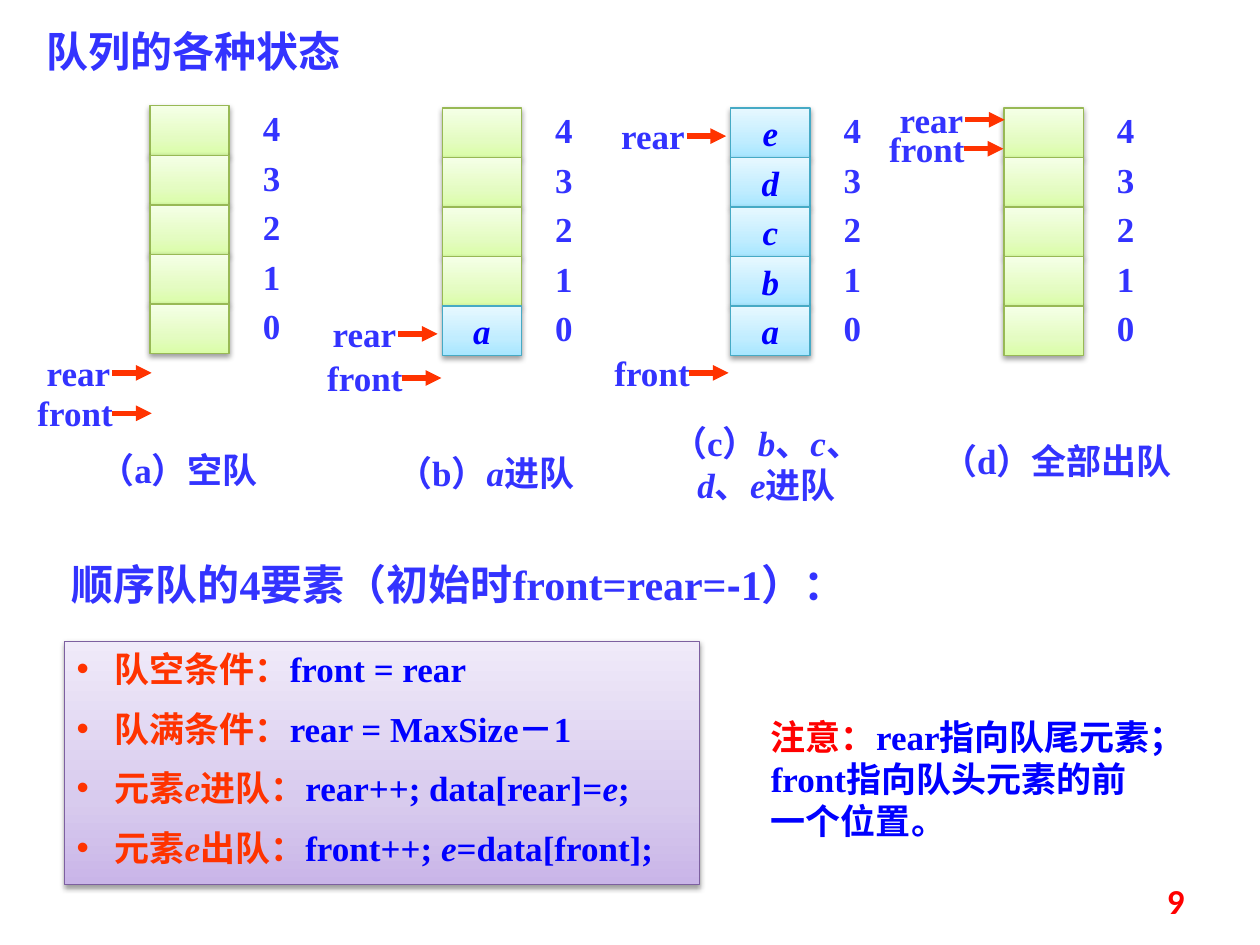
from pptx import Presentation
from pptx.dml.color import RGBColor as Color
from pptx.enum.shapes import MSO_CONNECTOR as Link, MSO_SHAPE as Form
from pptx.enum.text import MSO_ANCHOR as Anchor, PP_ALIGN as Align
from pptx.oxml import parse_xml
from pptx.oxml.ns import nsdecls, qn
from pptx.util import Pt
from lxml.etree import SubElement as Sub

BLUE = Color(0x33, 0x33, 0xFF)
DEEP = Color(0x00, 0x00, 0xFF)
RED = Color(0xFF, 0x00, 0x00)
ORANGE = Color(0xFF, 0x33, 0x00)
# Gradient stops from bottom to top, then the outline
GREEN = ("DAFDA7", "E4FCC2", "F5FFE7", Color(0x98, 0xB9, 0x55))
CYAN = ("A7E6FF", "C1EDFF", "E7F8FF", Color(0x46, 0xAA, 0xC5))
PURPLE = ("C9B5E8", "D8CBEE", "F0EAF9", Color(0x7D, 0x60, 0xA0))
SERIF, SANS, PLAIN = "Times New Roman", "Noto Sans CJK SC", "Calibri"

# Cell grid, in points
WIDE, HIGH, STEP = 45.3, 28.3, 28.3


class Board:
    """Holds the style and the current slide."""

    def __init__(self, deck):
        self.slide = deck.slides.add_slide(deck.slide_layouts[6])
        self.home = self.pen = self.slide.shapes

    def group(self):
        self.pen = self.home.add_group_shape().shapes

    def leave(self):
        self.pen = self.home

    def fill_in(self, para, runs, size=20, align=Align.LEFT):
        """Runs are (text, colour, font); *stars* mark italics."""
        para.alignment = align
        for text, color, face in runs:
            for i, bit in enumerate(text.split("*")):
                if not bit:
                    continue
                run = para.add_run()
                run.text = bit
                font = run.font
                font.name, font.size, font.bold = face, Pt(size), True
                font.italic = i % 2 == 1
                font.color.rgb = color

    def text(self, x, y, w, h, runs, size=20, align=Align.LEFT):
        box = self.pen.add_textbox(Pt(x), Pt(y), Pt(w), Pt(h))
        box.text_frame.word_wrap = True
        self.fill_in(box.text_frame.paragraphs[0], runs, size, align)
        return box

    def label(self, x, y, w, h, text):
        self.text(x, y, w, h, [(text, BLUE, SERIF)], align=Align.CENTER)

    def rect(self, x, y, w, h, look):
        box = self.pen.add_shape(Form.RECTANGLE, Pt(x), Pt(y), Pt(w), Pt(h))
        low, mid, top, edge = look
        box.fill.background()
        props = box._element.spPr
        stops = "".join(
            f'<a:gs pos="{pos}"><a:srgbClr val="{val}"/></a:gs>'
            for pos, val in ((0, low), (35000, mid), (100000, top)))
        props.replace(props.find(qn("a:noFill")), parse_xml(
            f'<a:gradFill {nsdecls("a")} rotWithShape="1"><a:gsLst>{stops}'
            '</a:gsLst><a:lin ang="16200000" scaled="0"/></a:gradFill>'))
        box.line.color.rgb = edge
        box.line.width = Pt(0.75)
        # Soft shadow straight below
        box.shadow.inherit = False
        props.find(qn("a:effectLst")).append(parse_xml(
            f'<a:outerShdw {nsdecls("a")} blurRad="40000" dist="20000" '
            'dir="5400000" rotWithShape="0"><a:srgbClr val="000000">'
            '<a:alpha val="38000"/></a:srgbClr></a:outerShdw>'))
        return box

    def cell(self, x, y, item):
        box = self.rect(x, y, WIDE, HIGH, CYAN if item else GREEN)
        if item:
            frame = box.text_frame
            frame.word_wrap = False
            self.fill_in(frame.paragraphs[0], [(f"*{item}*", DEEP, SERIF)],
                         align=Align.CENTER)

    def arrow(self, x, y, span=22.6):
        line = self.pen.add_connector(
            Link.STRAIGHT, Pt(x), Pt(y), Pt(x + span), Pt(y))
        line.line.color.rgb = ORANGE
        line.line.width = Pt(3)
        props = line._element.spPr
        Sub(props.find(qn("a:ln")), qn("a:tailEnd"), type="triangle")
        Sub(props, qn("a:effectLst"))

    def queue(self, x, y, items, marks):
        """Draw one array of cells, top index first, with its pointers."""
        self.group()
        last = len(items) - 1
        for i, item in enumerate(items):
            top = y + i * STEP
            self.cell(x, top, item.strip())
            self.label(x + 52.6, top - 3.1, 33.8, 31, str(last - i))
        for name, left, mid in marks:
            back, wide = (47.7, 56.9) if name == "rear" else (55.4, 68.4)
            self.arrow(left, mid)
            self.label(left - back, mid - 15.8, wide, 31, name)
        self.leave()

    def bullets(self, box, rows, gap=10, hang=21.6):
        frame = box.text_frame
        frame.word_wrap = True
        frame.vertical_anchor = Anchor.TOP
        for i, runs in enumerate(rows):
            para = frame.add_paragraph() if i else frame.paragraphs[0]
            props = para._p.get_or_add_pPr()
            props.set("marL", str(Pt(hang)))
            props.set("indent", str(-Pt(hang)))
            Sub(props, qn("a:buFont"), typeface="Arial")
            Sub(props, qn("a:buChar"), char="•")
            if i:
                para.space_before = Pt(gap)
            self.fill_in(para, runs)


def main():
    deck = Presentation()
    deck.slide_width, deck.slide_height = Pt(720), Pt(540)
    board = Board(deck)

    # Headings
    board.text(19.4, 10.8, 222.5, 36, [("队列的各种状态", BLUE, SANS)], 24)
    board.text(33.8, 315.4, 555.8, 36, [
        ("顺序队的4要素（初始时front=rear=", BLUE, SERIF),
        ("-", BLUE, "Arial"), ("1）：", BLUE, SERIF)], 24)

    # Four states of the queue
    board.queue(85.7, 60.5, "     ",
                [("rear", 64.1, 213.1), ("front", 64.1, 236.2)])
    board.queue(252.7, 61.7, "    a",
                [("front", 229.7, 216), ("rear", 227.5, 190.8)])
    board.queue(417.6, 61.7, "edcba",
                [("front", 393.8, 213.1), ("rear", 392.4, 77.8)])
    board.queue(573.8, 61.7, "     ",
                [("front", 550.8, 85), ("rear", 551.5, 68.4)])

    # Captions
    for x, y, w, h, text in (
            (45.4, 252.7, 113, 31, "（a）空队"),
            (209.5, 254.2, 136.1, 31, "（b）*a*进队"),
            (374.4, 237.6, 127.4, 55.4, "（c）*b*、*c*、*d*、*e*进队"),
            (530.6, 247.7, 146.9, 31.7, "（d）全部出队")):
        board.label(x, y, w, h, text)

    # Four elements of the sequential queue
    rules = (("队空条件：", "front = rear"),
             ("队满条件：", "rear = MaxSize－1"),
             ("元素*e*进队：", "rear++; data[rear]=*e*;"),
             ("元素*e*出队：", "front++; *e*=data[front];"))
    panel = board.rect(36.7, 366.5, 362.9, 139, PURPLE)
    board.bullets(panel, [[(name, ORANGE, SERIF), (code, DEEP, SERIF)]
                          for name, code in rules])

    # Note and page number
    board.text(433.4, 405.4, 236.2, 79.9, [
        ("注意：", RED, SANS),
        ("rear指向队尾元素；front指向队头元素的前一个位置。", DEEP, SERIF)])
    page = board.text(516.2, 500.4, 167.8, 28.8, [("9", RED, PLAIN)],
                      align=Align.RIGHT)
    page.text_frame.vertical_anchor = Anchor.MIDDLE

    deck.save("out.pptx")


if __name__ == "__main__":
    main()
